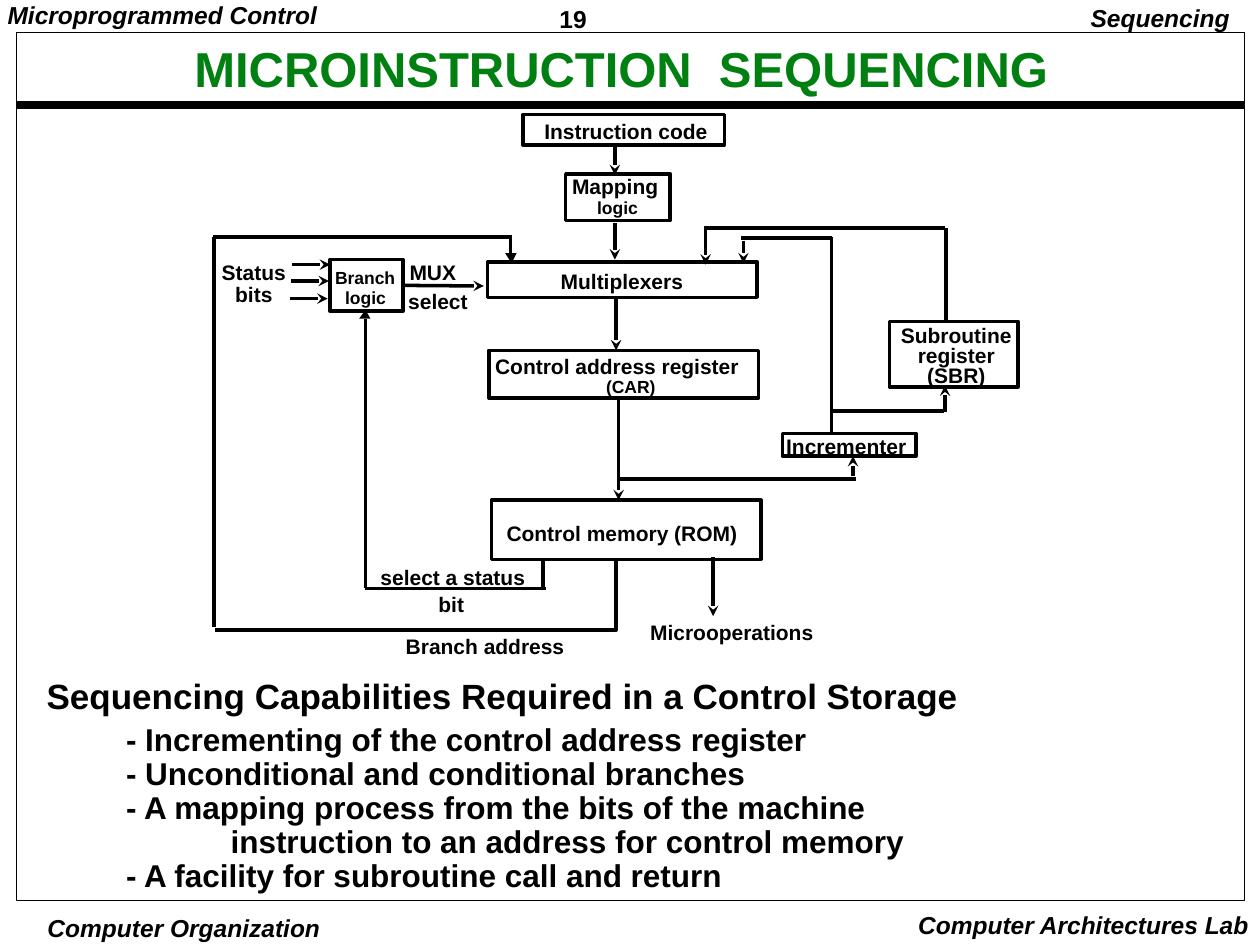
from lxml.etree import SubElement
from pptx import Presentation
from pptx.dml.color import RGBColor
from pptx.enum.shapes import MSO_CONNECTOR, MSO_SHAPE
from pptx.enum.text import MSO_ANCHOR, MSO_AUTO_SIZE, PP_ALIGN
from pptx.oxml.ns import qn
from pptx.util import Emu, Pt

PX = 9144
FONT = "Arial"
BLACK = RGBColor(0x00, 0x00, 0x00)
GREEN = RGBColor(0x00, 0x80, 0x11)
LEFT, CENTER, RIGHT = PP_ALIGN.LEFT, PP_ALIGN.CENTER, PP_ALIGN.RIGHT
SLACK = 6
SLACK_BEFORE = {LEFT: 0, CENTER: SLACK // 2, RIGHT: SLACK}

BLOCKS = {
    "instruction code": (415, 91, 160, 24),
    "mapping": (449, 138, 83, 37),
    "multiplexers": (387, 208, 214, 28),
    "branch": (262, 206, 58, 41),
    "address register": (388, 278, 214, 38),
    "subroutine": (706, 255, 102, 52),
    "incrementer": (621, 344, 106, 18),
    "control memory": (390, 397, 214, 47),
}

LABELS = [
    ((424, 92, 146, 26), "Instruction code", 12),
    ((446, 136, 85, 26), "Mapping", 12),
    ((466, 154, 48, 23), "logic", 10),
    ((437, 211, 113, 26), "Multiplexers", 12),
    ((258, 210, 64, 23), "Branch", 10),
    ((266, 226, 48, 23), "logic", 10),
    ((317, 204, 53, 26), "MUX", 12),
    ((316, 227, 63, 26), "select", 12),
    ((385, 279, 210, 26), "Control address register", 12),
    ((473, 296, 55, 23), "(CAR)", 10),
    ((616, 342, 111, 26), "Incrementer", 12),
    ((394, 411, 199, 26), "Control memory (ROM)", 12),
    ((294, 446, 131, 26), "select a status", 12),
    ((340, 468, 36, 26), "bit", 12),
    ((314, 501, 142, 26), "Branch address", 12),
    ((508, 490, 146, 26), "Microoperations", 12),
]

ARROWS = [
    (488, 115, 488, 139),
    (488, 177, 488, 206),
    (560, 182, 560, 210),
    (590, 191, 590, 209),
    (489, 236, 489, 278),
    (491, 316, 491, 397),
    (566, 442, 566, 489),
    (750, 327, 750, 306),
    (677, 378, 677, 362),
    (232, 210, 262, 210),
    (231, 223, 261, 223),
    (230, 237, 260, 237),
]

WIRES = [
    (559, 181, 750, 181),
    (751, 181, 751, 256),
    (588, 189, 660, 189),
    (660, 188, 660, 343),
    (660, 326, 749, 326),
    (491, 380, 679, 380),
    (169, 188, 406, 188),
    (405, 188, 405, 202),
    (170, 188, 170, 498),
    (290, 253, 290, 467),
    (290, 467, 433, 467),
    (431, 466, 431, 444),
]

CAPABILITIES = [
    "- Incrementing of the control address register",
    "- Unconditional and conditional branches",
    "- A mapping process from the bits of the machine",
    "instruction to an address for control memory",
    "- A facility for subroutine call and return",
]


def scaled(lengths):
    return [Emu(length * PX) for length in lengths]


def add_text(slide, area, lines, size, align=LEFT, spacing=0.9, inset=(8, 4),
             color=BLACK, italic=False, wrap=False, anchor=MSO_ANCHOR.TOP):
    left, top, width, height = area
    if not wrap:
        left, width = left - SLACK_BEFORE[align], width + SLACK
    box = slide.shapes.add_textbox(*scaled((left, top, width, height)))
    frame = box.text_frame
    frame.word_wrap = wrap
    frame.auto_size = MSO_AUTO_SIZE.SHAPE_TO_FIT_TEXT
    frame.vertical_anchor = anchor
    frame.margin_left = frame.margin_right = Emu(inset[0] * PX)
    frame.margin_top = frame.margin_bottom = Emu(inset[1] * PX)
    for index, line in enumerate(lines):
        para = frame.add_paragraph() if index else frame.paragraphs[0]
        para.alignment = align
        para.line_spacing = spacing
        span = para.add_run()
        span.text = line
        span.font.name = FONT
        span.font.size = Pt(size)
        span.font.bold = True
        span.font.italic = italic
        span.font.color.rgb = color
    return box


def add_block(slide, area, weight=2):
    block = slide.shapes.add_shape(MSO_SHAPE.RECTANGLE, *scaled(area))
    block.shadow.inherit = False
    block.fill.background()
    block.line.color.rgb = BLACK
    block.line.width = Pt(weight)
    return block


def add_line(slide, ends, weight=2, arrow=False):
    line = slide.shapes.add_connector(MSO_CONNECTOR.STRAIGHT, *scaled(ends))
    line.line.color.rgb = BLACK
    line.line.width = Pt(weight)
    if arrow:
        SubElement(line.line._get_or_add_ln(), qn("a:tailEnd"), type="stealth")
    SubElement(line._element.spPr, qn("a:effectLst"))
    return line


def add_outline(slide, points, closed):
    builder = slide.shapes.build_freeform(*points[0], scale=PX)
    builder.add_line_segments(points[1:], close=closed)
    outline = builder.convert_to_shape()
    outline.shadow.inherit = False
    if closed:
        outline.fill.solid()
        outline.fill.fore_color.rgb = BLACK
        outline.line.fill.background()
    else:
        outline.fill.background()
        outline.line.color.rgb = BLACK
        outline.line.width = Pt(2)


def add_page_frame(slide):
    add_text(slide, (437, 0, 108, 29), ["19"], 14, spacing=1.01, inset=(7, 3))
    add_text(slide, (-1, 0, 260, 27), ["Microprogrammed Control"], 14,
             inset=(7, 3), italic=True)
    add_text(slide, (856, 0, 130, 31), ["Sequencing"], 14, RIGHT,
             inset=(10, 5), italic=True)
    add_text(slide, (35, 724, 222, 26), ["Computer Organization"], 14, CENTER,
             spacing=1.0, inset=(3, 1), italic=True)
    add_text(slide, (718, 717, 283, 33), ["Computer Architectures Lab"], 14, RIGHT,
             spacing=1.0, inset=(10, 5), italic=True)
    add_line(slide, (13, 83, 987, 83), weight=4.5)
    add_block(slide, (13, 26, 975, 689), weight=0.5)
    add_text(slide, (89, 33, 808, 48), ["MICROINSTRUCTION  SEQUENCING"], 28, CENTER,
             inset=(7, 3), color=GREEN, wrap=True, anchor=MSO_ANCHOR.MIDDLE)


def add_diagram(slide):
    blocks = {name: add_block(slide, area) for name, area in BLOCKS.items()}
    for area, text, size in LABELS:
        add_text(slide, area, [text], size)
    add_text(slide, (168, 204, 67, 44), ["Status", "bits"], 12, CENTER)
    add_text(slide, (707, 256, 104, 56), ["Subroutine", "register", "(SBR)"], 12,
             CENTER, spacing=0.8)
    for ends in WIRES:
        add_line(slide, ends)
    for ends in ARROWS:
        add_line(slide, ends, arrow=True)
    mux_select = add_line(slide, (320, 227, 384, 227), arrow=True)
    mux_select.begin_connect(blocks["branch"], 3)
    add_outline(slide, [(401, 201), (410, 201), (406, 209)], closed=True)
    add_outline(slide, [(285, 253), (294, 253), (290, 246)], closed=True)
    add_outline(slide, [(489, 445), (489, 500), (171, 500)], closed=False)


def add_capabilities(slide):
    add_text(slide, (30, 532, 738, 39),
             ["Sequencing Capabilities Required in a Control Storage"], 20,
             spacing=1.01, inset=(7, 3))
    box = add_text(slide, (93, 572, 632, 141), CAPABILITIES, 18, inset=(7, 3))
    continuation = box.text_frame.paragraphs[3]
    continuation._p.get_or_add_pPr().set("marL", str(83 * PX))


def main():
    deck = Presentation()
    deck.slide_width, deck.slide_height = scaled((1000, 750))
    page = deck.slides.add_slide(deck.slide_layouts[6])
    add_page_frame(page)
    add_diagram(page)
    add_capabilities(page)
    deck.save("out.pptx")


if __name__ == "__main__":
    main()
